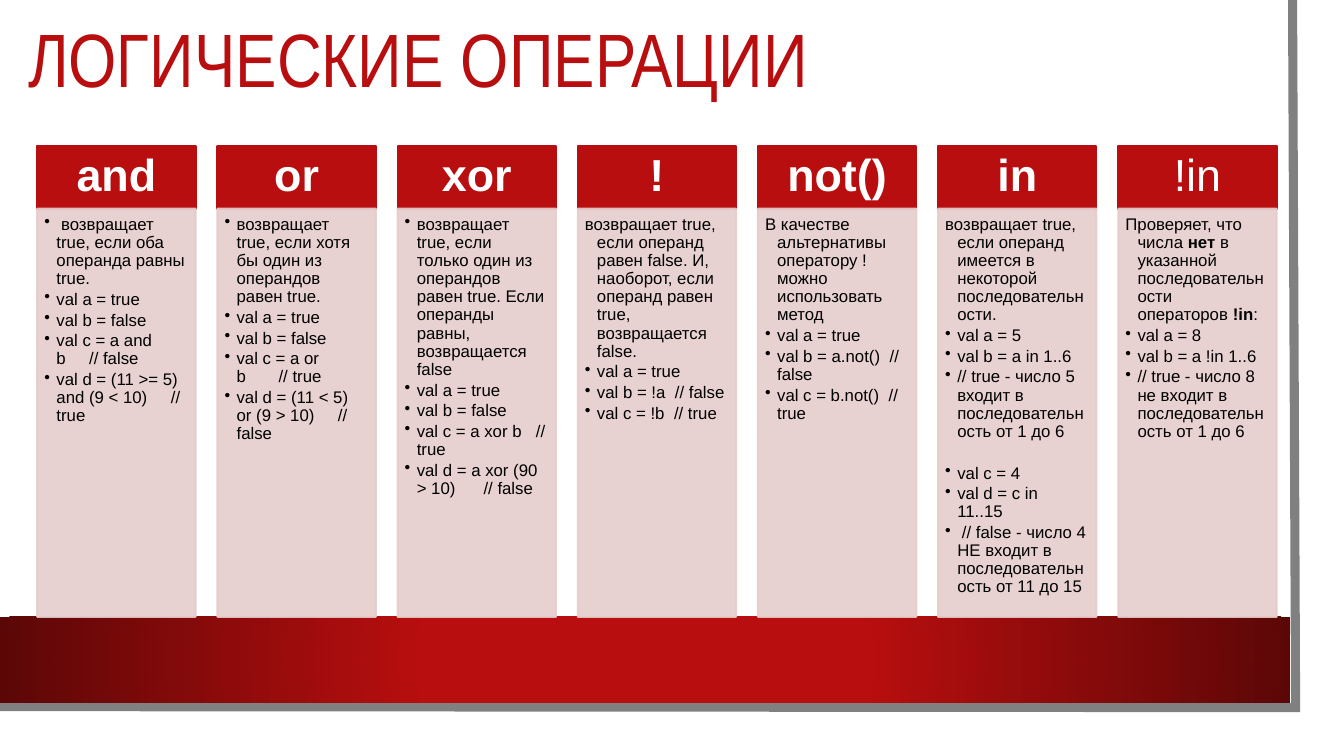
from lxml.etree import SubElement
from pptx import Presentation
from pptx.dml.color import RGBColor
from pptx.enum.shapes import MSO_SHAPE as Shape
from pptx.enum.text import MSO_ANCHOR as Anchor, PP_ALIGN as Align
from pptx.oxml import parse_xml
from pptx.oxml.ns import nsdecls, qn
from pptx.util import Inches, Pt

RED, DARK_RED, PINK, GREY = "B80E0F", "5C0707", "E6CCCC", "808080"
NO_BREAK_SPACE = chr(160)
SPACE_WIDTH = 3.33  # points, Arial 12

# Column grid in inches
LEFT, PITCH, WIDTH = 0.37, 1.787, 1.57
HEAD_TOP, BODY_TOP, BODY_BOTTOM = 1.45, 2.07, 6.12

# Runs are divided by "|": a number is a gap in spaces, "*" starts a bold run.
# A first character "-" gives a bullet, "+" a bullet with a wide gap below.
OPERATIONS = [
    ("and", True, [
        "- возвращает true, если оба операнда равны true.",
        "-val a = true",
        "-val b = false",
        "-val c = a and b|5|// false",
        "-val d = (11 >= 5) and (9 < 10)|5|// true",
    ]),
    ("or", True, [
        "-возвращает true, если хотя бы один из операндов равен true.",
        "-val a = true",
        "-val b = false",
        "-val c = a or b|6| // true",
        "-val d = (11 < 5) or (9 > 10)|5|// false",
    ]),
    ("xor", True, [
        "-возвращает true, если только один из операндов равен true. "
        "Если операнды равны, возвращается false",
        "-val a = true",
        "-val b = false",
        "-val c = a xor b|3|// true",
        "-val d = a xor (90 > 10)|6|// false",
    ]),
    ("!", True, [
        "возвращает true, если операнд равен false. "
        "И, наоборот, если операнд равен true, возвращается false.",
        "-val a = true",
        "-val b = !a|2|// false",
        "-val c = !b|2|// true",
    ]),
    ("not()", True, [
        "В качестве альтернативы оператору ! можно использовать метод",
        "-val a = true",
        "-val b = a.not()|2|// false",
        "-val c = b.not()|2|// true",
    ]),
    ("in", True, [
        "возвращает true, если операнд имеется в некоторой последовательности.",
        "-val a = 5",
        "-val b = a in 1..6|6|",
        "+// true - число 5 входит в последовательность от 1 до 6",
        "-val c = 4",
        "-val d = c in 11..15|4|",
        "- // false - число 4 НЕ входит в последовательность от 11 до 15",
    ]),
    ("!in", False, [
        "Проверяет, что числа|1|*нет|1|в указанной последовательности "
        "операторов|1|*!in|:",
        "-val a = 8",
        "-val b = a !in 1..6|5|",
        "-// true - число 8 не входит в последовательность от 1 до 6",
    ]),
]


def color(hex_value):
    return RGBColor.from_string(hex_value)


def add_run(paragraph, text, size, hex_value, bold=False, font_name="Arial"):
    run = paragraph.add_run()
    run.text = text
    run.font.name = font_name
    run.font.size = Pt(size)
    run.font.bold = bold
    run.font.color.rgb = color(hex_value)
    return run


presentation = Presentation()
presentation.slide_width = Inches(13.33)
presentation.slide_height = Inches(7.5)
slide = presentation.slides.add_slide(presentation.slide_layouts[6])
shapes = slide.shapes

# Grey edge along the right and the bottom
builder = shapes.build_freeform(Inches(12.82), 0)
builder.add_line_segments(
    [(Inches(12.85), Inches(7.02)), (Inches(-0.03), Inches(7.01))], close=False)
edge = builder.convert_to_shape()
edge.shadow.inherit = False
edge.fill.background()
edge.line.color.rgb = color(GREY)
edge.line.width = Pt(6.5)
SubElement(edge.line._get_or_add_ln(), qn("a:miter"), lim="800000")

# Red band with a radial gradient
band = shapes.add_shape(Shape.RECTANGLE, 0, Inches(BODY_BOTTOM), Inches(12.8), Inches(0.85))
band.shadow.inherit = False
band.line.fill.background()
band_properties = band._element.spPr
band_properties.find(qn("a:prstGeom")).addnext(parse_xml(
    f'<a:gradFill {nsdecls("a")}><a:gsLst>'
    f'<a:gs pos="34000"><a:srgbClr val="{RED}"/></a:gs>'
    f'<a:gs pos="100000"><a:srgbClr val="{DARK_RED}"/></a:gs></a:gsLst>'
    '<a:path path="circle"><a:fillToRect l="50000" t="50000" r="50000" b="50000"/>'
    '</a:path></a:gradFill>'))

title = shapes.add_textbox(Inches(0.18), 0, Inches(11.37), Inches(1.26))
title.text_frame.word_wrap = True
title.text_frame.vertical_anchor = Anchor.MIDDLE
title_paragraph = title.text_frame.paragraphs[0]
title_paragraph.line_spacing = 0.9
add_run(title_paragraph, "ЛОГИЧЕСКИЕ ОПЕРАЦИИ", 54, RED, font_name="Arial Narrow")

for column, (operator, heading_bold, lines) in enumerate(OPERATIONS):
    frames = []
    for top, bottom, fill, anchor, insets in (
        (HEAD_TOP, BODY_TOP, RED, Anchor.MIDDLE, (0.25, 0.14, 0.25, 0.14)),
        (BODY_TOP, BODY_BOTTOM, PINK, Anchor.TOP, (0.07, 0.07, 0.09, 0.1)),
    ):
        box = shapes.add_shape(
            Shape.RECTANGLE, Inches(LEFT + column * PITCH), Inches(top),
            Inches(WIDTH), Inches(bottom - top))
        box.shadow.inherit = False
        box.fill.solid()
        box.fill.fore_color.rgb = color(fill)
        box.line.color.rgb = color(fill)
        box.line.width = Pt(1.5)
        if fill == PINK:
            for color_element in box._element.spPr.iter(qn("a:srgbClr")):
                SubElement(color_element, qn("a:alpha"), val="90000")
        frame = box.text_frame
        frame.word_wrap = True
        frame.vertical_anchor = anchor
        (frame.margin_left, frame.margin_top,
         frame.margin_right, frame.margin_bottom) = map(Inches, insets)
        frames.append(frame)

    heading_frame, body_frame = frames
    heading = heading_frame.paragraphs[0]
    heading.alignment = Align.CENTER
    heading.line_spacing = 0.9
    add_run(heading, operator, 32, "FFFFFF", heading_bold)

    for index, line in enumerate(lines):
        paragraph = body_frame.add_paragraph() if index else body_frame.paragraphs[0]
        paragraph.alignment = Align.LEFT
        paragraph.line_spacing = 0.9
        paragraph.space_after = Pt(16.8 if line[0] == "+" else 1.8)
        properties = paragraph._p.get_or_add_pPr()
        properties.set("marL", str(Inches(0.12)))
        properties.set("indent", str(Inches(-0.12)))
        if line[0] in "-+":
            SubElement(properties, qn("a:buChar"), char="•")
            line = line[1:]
        for piece in filter(None, line.split("|")):
            if piece.isdigit():
                gap = add_run(paragraph, NO_BREAK_SPACE, 12, "000000")
                extra_width = (int(piece) - 1) * SPACE_WIDTH
                gap.font._element.set("spc", str(round(extra_width * 100)))
            else:
                add_run(paragraph, piece.lstrip("*"), 12, "000000", piece[0] == "*")

presentation.save("out.pptx")
